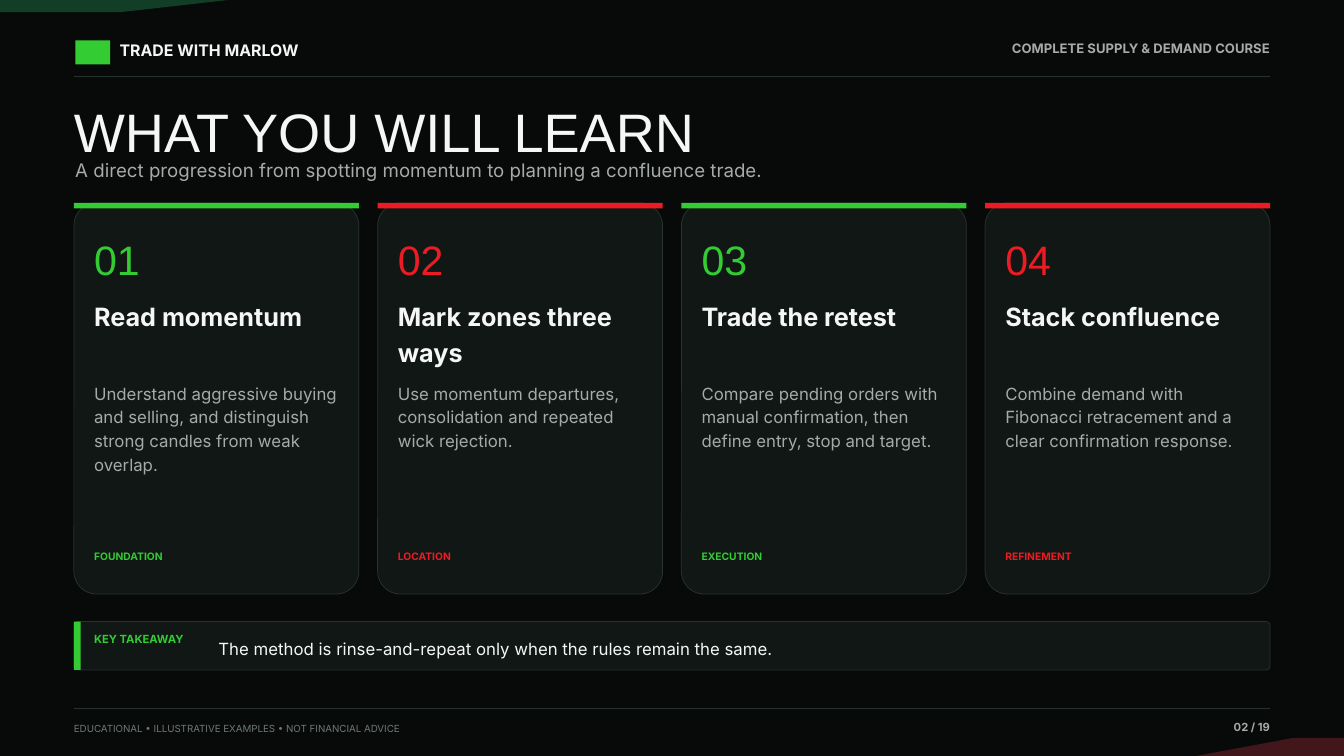
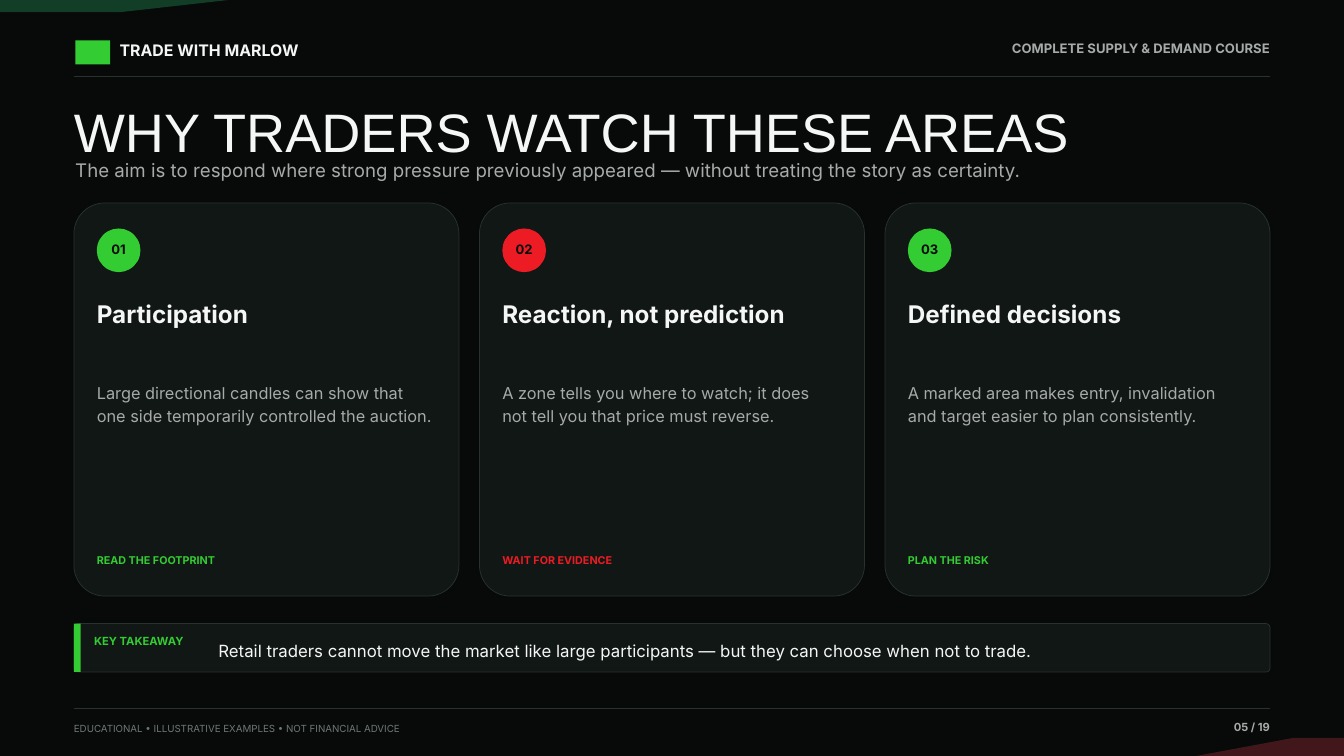
from lxml import etree
from pptx import Presentation
from pptx.dml.color import RGBColor
from pptx.enum import shapes, text
from pptx.oxml import ns
from pptx.util import Inches, Pt

BACK, PANEL, RULE = "070A09", "111715", "28332E"
GREEN, RED, DARK_GREEN, DARK_RED = "33CC33", "ED1C24", "123D26", "42171B"
WHITE, GREY, DIM = "F5F7F6", "A6AAA8", "6F7873"
ACCENTS = (GREEN, RED)
BODY, DISPLAY = "Inter", "Arial"
WIDTH, HEIGHT, LEFT, SPAN, TOP = 20, 11.25, 1.1, 17.8, 3.02
KIND = shapes.MSO_SHAPE
LEFTWARD, CENTRED, RIGHTWARD = text.PP_ALIGN.LEFT, text.PP_ALIGN.CENTER, text.PP_ALIGN.RIGHT

STEPS = [
    ("Read momentum", "Understand aggressive buying\nand selling, and distinguish\n"
     "strong candles from weak\noverlap.", "FOUNDATION"),
    ("Mark zones three\nways", "Use momentum departures,\nconsolidation and repeated\n"
     "wick rejection.", "LOCATION"),
    ("Trade the retest", "Compare pending orders with\nmanual confirmation, then\n"
     "define entry, stop and target.", "EXECUTION"),
    ("Stack confluence", "Combine demand with\nFibonacci retracement and a\n"
     "clear confirmation response.", "REFINEMENT"),
]
REASONS = [
    ("Participation", "Large directional candles can show that\n"
     "one side temporarily controlled the auction.", "READ THE FOOTPRINT"),
    ("Reaction, not prediction", "A zone tells you where to watch; it does\n"
     "not tell you that price must reverse.", "WAIT FOR EVIDENCE"),
    ("Defined decisions", "A marked area makes entry, invalidation\n"
     "and target easier to plan consistently.", "PLAN THE RISK"),
]


def rgb(color):
    """Turn a hex string into a colour."""
    return RGBColor.from_string(color)


def paint(sp, fill, line=None):
    """Give a shape a flat fill and an optional thin outline."""
    sp.shadow.inherit = False
    sp.fill.solid()
    sp.fill.fore_color.rgb = rgb(fill)
    if line:
        sp.line.color.rgb = rgb(line)
        sp.line.width = Pt(0.8)
    else:
        sp.line.fill.background()


def add_block(s, kind, x, y, w, h, fill, line=None):
    """Add a preset shape, with slightly rounded corners where it has them."""
    sp = s.shapes.add_shape(kind, Inches(x), Inches(y), Inches(w), Inches(h))
    if kind == KIND.ROUNDED_RECTANGLE:
        sp.adjustments[0] = 0.08
    paint(sp, fill, line)


def add_corner(s, points, fill):
    """Add a filled outline through the given points."""
    spots = [(Inches(x), Inches(y)) for x, y in points]
    builder = s.shapes.build_freeform(*spots[0])
    builder.add_line_segments(spots[1:], close=True)
    paint(builder.convert_to_shape(), fill)


def add_rule(s, y):
    """Draw a thin line across the content width."""
    line = s.shapes.add_connector(shapes.MSO_CONNECTOR.STRAIGHT, Inches(LEFT), Inches(y),
                                  Inches(LEFT + SPAN), Inches(y))
    line.line.color.rgb = rgb(RULE)
    line.line.width = Pt(0.8)
    etree.SubElement(line._element.spPr, ns.qn("a:effectLst"))


def add_text(s, words, x, y, w, h, size, color, bold=False, font=BODY, align=LEFTWARD,
             spacing=1.18, anchor=text.MSO_ANCHOR.TOP):
    """Add a text box without margins, one paragraph per line of words."""
    tf = s.shapes.add_textbox(Inches(x), Inches(y), Inches(w), Inches(h)).text_frame
    tf.margin_left = tf.margin_right = tf.margin_top = tf.margin_bottom = 0
    tf.word_wrap = True
    tf.vertical_anchor = anchor
    tf.text = words
    for p in tf.paragraphs:
        p.alignment = align
        p.line_spacing = spacing
        for r in p.runs:
            r.font.name, r.font.size, r.font.bold = font, Pt(size), bold
            r.font.color.rgb = rgb(color)


def add_frame(s, page):
    """Add the background, corners, header and footer."""
    s.background.fill.solid()
    s.background.fill.fore_color.rgb = rgb(BACK)
    add_corner(s, [(0, 0), (3.4, 0), (1.8, 0.18), (0, 0.18)], DARK_GREEN)
    add_corner(s, [(WIDTH, HEIGHT), (17.8, HEIGHT), (19.25, 10.98), (WIDTH, 10.98)], DARK_RED)
    add_block(s, KIND.RECTANGLE, 1.12, 0.6, 0.52, 0.36, GREEN)
    add_text(s, "TRADE WITH MARLOW", 1.78, 0.56, 3.9, 0.34, 17, WHITE, True)
    add_text(s, "COMPLETE SUPPLY & DEMAND COURSE", 14, 0.56, 4.9, 0.32, 14, GREY, True,
             align=RIGHTWARD)
    add_rule(s, 1.13)
    add_rule(s, 10.54)
    add_text(s, "EDUCATIONAL • ILLUSTRATIVE EXAMPLES • NOT FINANCIAL ADVICE",
             LEFT, 10.72, 8, 0.25, 10.5, DIM)
    add_text(s, f"{page:02} / 19", 17.2, 10.68, 1.7, 0.28, 12, GREY, True, align=RIGHTWARD)


def add_heading(s, title, subtitle):
    """Add the title and the sentence below it."""
    add_text(s, title, LEFT, 1.46, SPAN, 0.88, 58, WHITE, font=DISPLAY, spacing=1)
    add_text(s, subtitle, 1.12, 2.3, 17.2, 0.43, 20, GREY)


def add_step_card(s, x, y, w, h, number, accent, card):
    """Add a card with a coloured top bar and a large number."""
    title, body, tag = card
    inner_x, inner_w = x + 0.3, w - 0.6
    add_block(s, KIND.ROUNDED_RECTANGLE, x, y, w, h, PANEL, RULE)
    add_block(s, KIND.RECTANGLE, x, y, w, 0.08, accent)
    add_text(s, number, inner_x, y + 0.34, inner_w, 0.72, 44, accent, font=DISPLAY)
    add_text(s, title, inner_x, y + 1.38, inner_w, 1.08, 27, WHITE, True)
    add_text(s, body, inner_x, y + 2.63, inner_w, 2.15, 18, GREY)
    add_text(s, tag, inner_x, y + h - 0.69, inner_w, 0.3, 11, accent, True)


def add_reason_card(s, x, y, w, h, number, accent, card):
    """Add a card with its number in a round badge."""
    title, body, tag = card
    inner_x, inner_w = x + 0.34, w - 0.68
    add_block(s, KIND.ROUNDED_RECTANGLE, x, y, w, h, PANEL, RULE)
    add_block(s, KIND.OVAL, inner_x, y + 0.38, 0.65, 0.65, accent)
    add_text(s, number, inner_x + 0.02, y + 0.53, 0.61, 0.25, 14, BACK, True, align=CENTRED)
    add_text(s, title, inner_x, y + 1.36, inner_w, 1.02, 26, WHITE, True)
    add_text(s, body, inner_x, y + 2.63, inner_w, 2.3, 17.5, GREY)
    add_text(s, tag, inner_x, y + h - 0.67, inner_w, 0.3, 11.5, accent, True)


def add_takeaway(s, y, words):
    """Add the key takeaway band."""
    add_block(s, KIND.ROUNDED_RECTANGLE, LEFT, y, SPAN, 0.72, PANEL, RULE)
    add_block(s, KIND.RECTANGLE, LEFT, y, 0.1, 0.72, GREEN)
    add_text(s, "KEY TAKEAWAY", LEFT + 0.3, y + 0.13, 1.85, 0.26, 12, GREEN, True)
    add_text(s, words, LEFT + 2.15, y + 0.1, 15.38, 0.56, 18, WHITE,
             anchor=text.MSO_ANCHOR.MIDDLE)


def add_card_slide(prs, page, title, subtitle, add_card, cards, w, h, takeaway):
    """Add a slide with a row of evenly spaced cards and a takeaway."""
    s = prs.slides.add_slide(prs.slide_layouts[6])
    add_frame(s, page)
    add_heading(s, title, subtitle)
    step = (SPAN - w) / (len(cards) - 1)
    for i, card in enumerate(cards):
        add_card(s, LEFT + i * step, TOP, w, h, f"{i + 1:02}", ACCENTS[i % 2], card)
    add_takeaway(s, TOP + h + 0.41, takeaway)


def main():
    """Build and save the deck."""
    prs = Presentation()
    prs.slide_width, prs.slide_height = Inches(WIDTH), Inches(HEIGHT)
    add_card_slide(
        prs, 2, "WHAT YOU WILL LEARN",
        "A direct progression from spotting momentum to planning a confluence trade.",
        add_step_card, STEPS, 4.24, 5.82,
        "The method is rinse-and-repeat only when the rules remain the same.")
    add_card_slide(
        prs, 5, "WHY TRADERS WATCH THESE AREAS",
        "The aim is to respond where strong pressure previously appeared — "
        "without treating the story as certainty.",
        add_reason_card, REASONS, 5.73, 5.85,
        "Retail traders cannot move the market like large participants — "
        "but they can choose when not to trade.")
    prs.save("out.pptx")


if __name__ == "__main__":
    main()
